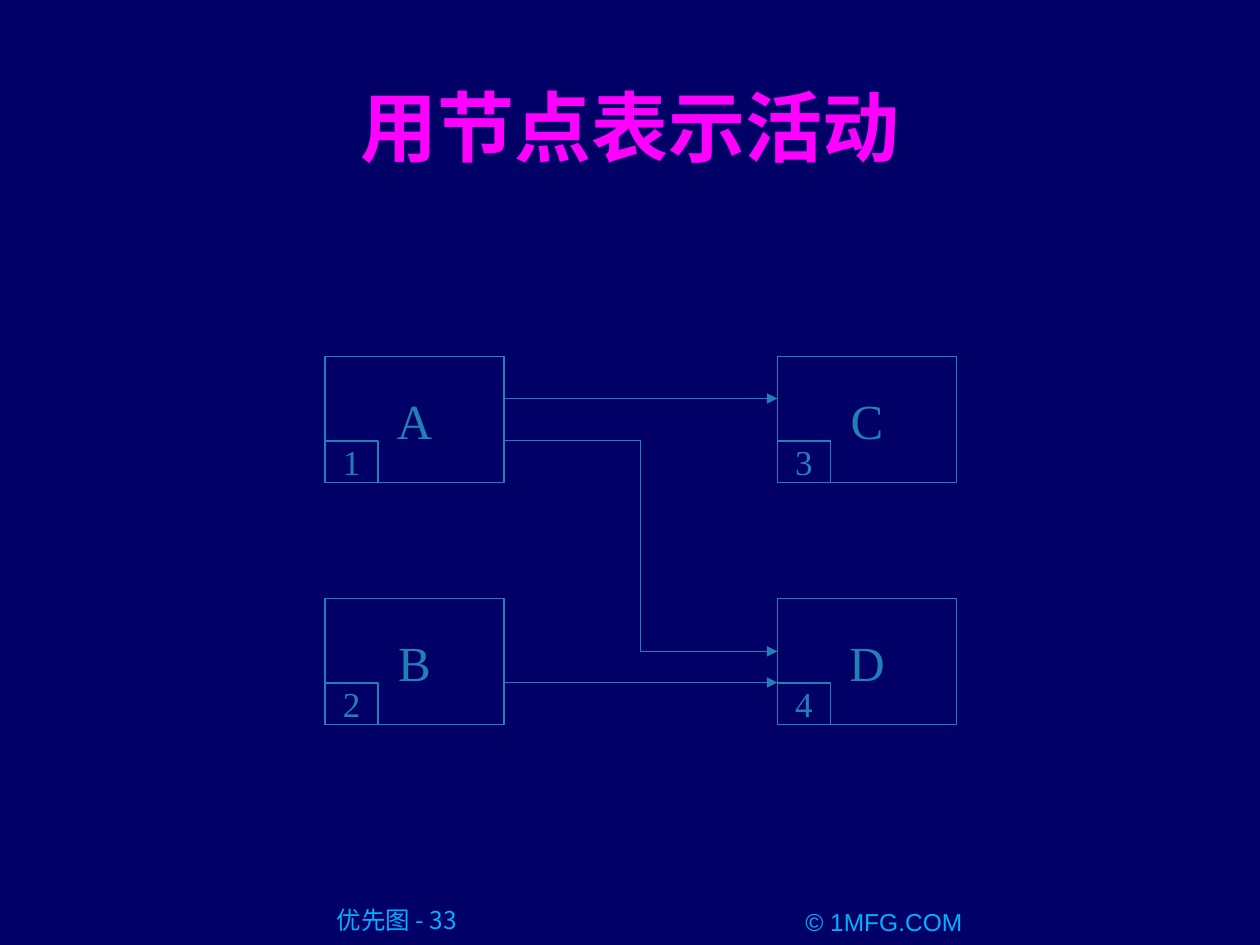
from dataclasses import dataclass

from lxml.etree import SubElement
from pptx import Presentation
from pptx.dml.color import RGBColor
from pptx.enum.shapes import MSO_CONNECTOR, MSO_SHAPE
from pptx.enum.text import MSO_ANCHOR, PP_ALIGN
from pptx.oxml.ns import qn
from pptx.util import Inches, Pt


@dataclass(frozen=True)
class Theme:
    background: RGBColor = RGBColor(0x00, 0x00, 0x66)
    title: RGBColor = RGBColor(0xFF, 0x00, 0xFF)
    diagram: RGBColor = RGBColor(0x21, 0x81, 0xB7)
    footer: RGBColor = RGBColor(0x01, 0xB0, 0xFF)
    serif: str = "Times New Roman"
    sans: str = "Arial"
    cjk: str = "Noto Sans CJK JP"
    title_size: Pt = Pt(44)
    node_size: Pt = Pt(28)
    number_size: Pt = Pt(20)
    footer_size: Pt = Pt(14)
    line_width: Pt = Pt(0.75)


THEME = Theme()
NODE_W, NODE_H = 1.42, 1.0
NUMBER_W, NUMBER_H = 0.42, 0.33


def set_text(tf, text, size, color, font, bold=False):
    tf.text = text
    p = tf.paragraphs[0]
    p.alignment = PP_ALIGN.CENTER
    p.font.size = size
    p.font.name = font
    p.font.bold = bold
    p.font.color.rgb = color


def add_title(s, text, x, y, w, h):
    sp = s.shapes.title
    sp.left, sp.top, sp.width, sp.height = map(Inches, (x, y, w, h))
    tf = sp.text_frame
    tf.vertical_anchor = MSO_ANCHOR.TOP
    set_text(tf, text, THEME.title_size, THEME.title, THEME.serif, bold=True)


def add_footer(s, text, font, x, y, w, h, left_inset=0):
    sp = s.shapes.add_textbox(*map(Inches, (x, y, w, h)))
    tf = sp.text_frame
    tf.word_wrap = True
    tf.margin_left = Inches(left_inset)
    tf.margin_top = tf.margin_right = tf.margin_bottom = 0
    set_text(tf, text, THEME.footer_size, THEME.footer, font)


def add_box(s, text, size, x, y, w, h):
    sp = s.shapes.add_shape(MSO_SHAPE.RECTANGLE, *map(Inches, (x, y, w, h)))
    sp.shadow.inherit = False
    sp.fill.background()
    sp.line.color.rgb = THEME.diagram
    sp.line.width = THEME.line_width
    tf = sp.text_frame
    tf.word_wrap = False
    tf.vertical_anchor = MSO_ANCHOR.MIDDLE
    set_text(tf, text, size, THEME.diagram, THEME.serif)


def add_node(s, name, number, x, y):
    """Draw an activity with its number in the lower left corner."""
    add_box(s, name, THEME.node_size, x, y, NODE_W, NODE_H)
    add_box(s, number, THEME.number_size,
            x, y + NODE_H - NUMBER_H, NUMBER_W, NUMBER_H)


def add_arrow(s, kind, x1, y1, x2, y2):
    c = s.shapes.add_connector(kind, *map(Inches, (x1, y1, x2, y2)))
    c.line.color.rgb = THEME.diagram
    c.line.width = THEME.line_width
    SubElement(c.line._get_or_add_ln(), qn("a:tailEnd"), type="triangle")
    SubElement(c._element.spPr, qn("a:effectLst"))


def add_network(s, x, y, w, h):
    """Place two columns of activities and the arrows between them."""
    right, lower = x + w - NODE_W, y + h - NODE_H
    add_node(s, "A", "1", x, y)
    add_node(s, "B", "2", x, lower)
    add_node(s, "C", "3", right, y)
    add_node(s, "D", "4", right, lower)

    start = x + NODE_W
    third = NODE_H / 3
    for kind, y1, y2 in (
        (MSO_CONNECTOR.STRAIGHT, y + third, y + third),
        (MSO_CONNECTOR.ELBOW, y + 2 * third, lower + 0.42),
        (MSO_CONNECTOR.STRAIGHT, lower + 2 * third, lower + 2 * third),
    ):
        add_arrow(s, kind, start, y1, right, y2)


def main():
    prs = Presentation()
    prs.slide_width, prs.slide_height = Inches(10), Inches(7.5)
    s = prs.slides.add_slide(prs.slide_layouts[5])
    s.background.fill.solid()
    s.background.fill.fore_color.rgb = THEME.background

    add_footer(s, "优先图 - 33", THEME.cjk, 2.01, 7.18, 2.08, 0.27, left_inset=0.2)
    add_footer(s, "© 1MFG.COM", THEME.sans, 5.89, 7.2, 2.25, 0.23)
    add_title(s, "用节点表示活动", 0.75, 0.58, 8.5, 0.75)
    add_network(s, 2.58, 2.83, 5.01, 2.92)
    prs.save("out.pptx")


if __name__ == "__main__":
    main()
